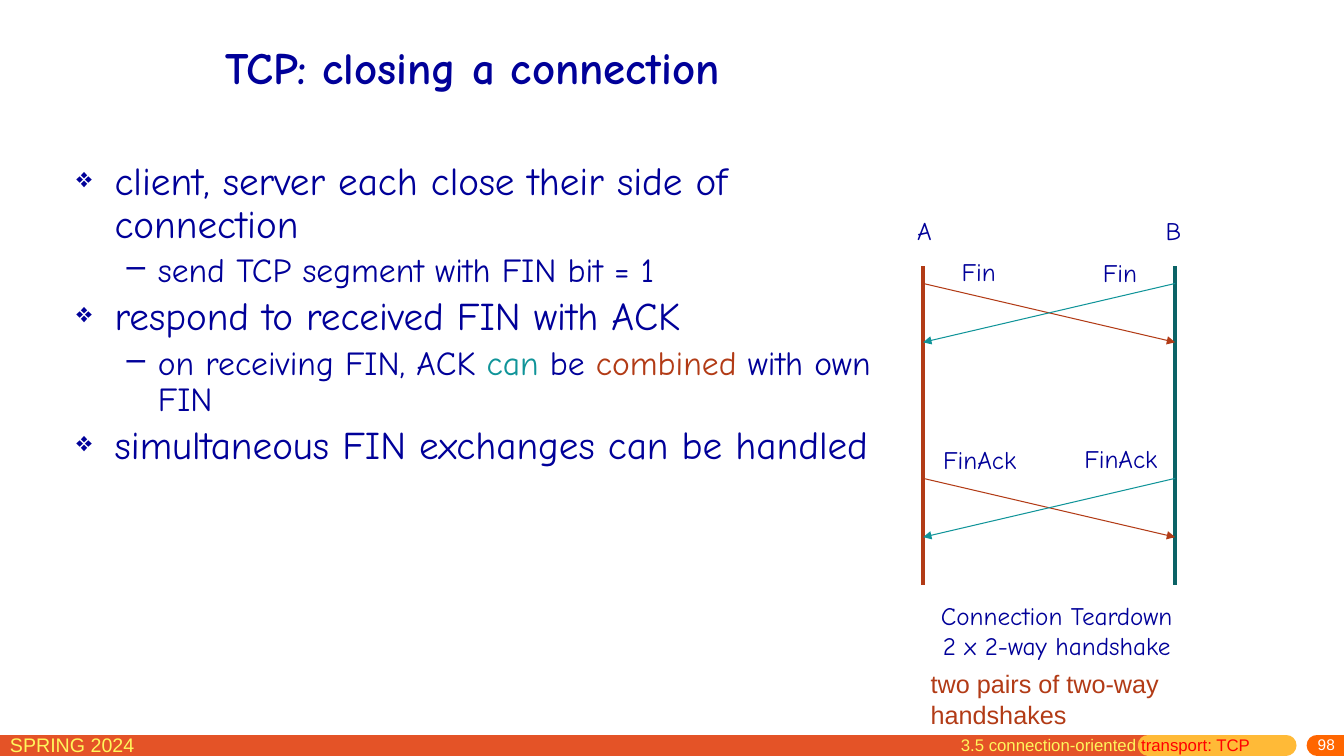
from lxml import etree
from pptx import Presentation
from pptx.dml.color import RGBColor
from pptx.enum.shapes import MSO_CONNECTOR
from pptx.enum.text import MSO_ANCHOR, MSO_AUTO_SIZE, PP_ALIGN
from pptx.oxml.ns import qn
from pptx.util import Inches, Pt

STRAIGHT = MSO_CONNECTOR.STRAIGHT
TOP, MIDDLE = MSO_ANCHOR.TOP, MSO_ANCHOR.MIDDLE
LEFT, CENTER, RIGHT = PP_ALIGN.LEFT, PP_ALIGN.CENTER, PP_ALIGN.RIGHT
FIT, FIXED = MSO_AUTO_SIZE.SHAPE_TO_FIT_TEXT, MSO_AUTO_SIZE.NONE

WIDTH, HEIGHT = 13.33, 7.5
COLUMNS, ROWS = 160, 90
HAND, SANS = "Comic Neue", "Arial"
NAVY, RUST, TEAL, DARK_TEAL = "000099", "B23B16", "109499", "0B6366"
YELLOW, RED, WHITE = "FFF65C", "FF0000", "FFFFFF"


def color(value):
    return RGBColor.from_string(value)


def add_child(parent, tag, **attributes):
    return etree.SubElement(parent, qn(tag), attributes)


class Canvas:
    """Draws on one slide; positions are columns and rows of a 160 x 90 grid."""

    def __init__(self, prs):
        self.slide = prs.slides.add_slide(prs.slide_layouts[6])
        self.column = prs.slide_width / COLUMNS
        self.row = prs.slide_height / ROWS

    def place(self, x, y):
        return round(x * self.column), round(y * self.row)

    def line(self, start, end, hue, width, arrow=False, rounded=False):
        s = self.slide.shapes.add_connector(STRAIGHT, *self.place(*start), *self.place(*end))
        s.line.color.rgb = color(hue)
        s.line.width = Pt(width)
        ln = s.line._ln
        if rounded:
            ln.set("cap", "rnd")
        if arrow:
            add_child(ln, "a:tailEnd", type="triangle")
        add_child(s._element.spPr, "a:effectLst")

    def box(self, x, y, width, height, wrap=True, fit=False, anchor=TOP):
        s = self.slide.shapes.add_textbox(*self.place(x, y), *self.place(width, height))
        tf = s.text_frame
        tf.word_wrap = wrap
        tf.auto_size = FIT if fit else FIXED
        tf.vertical_anchor = anchor
        return tf

    def runs(self, p, parts, size, font=HAND, bold=False):
        for text, hue in parts:
            r = p.add_run()
            r.text = text
            r.font.size = Pt(size)
            r.font.name = font
            r.font.bold = bold
            r.font.color.rgb = color(hue)

    def text(self, frame, lines, size, font=HAND, bold=False, align=LEFT, **layout):
        tf = self.box(*frame, **layout)
        for i, parts in enumerate(lines):
            p = tf.add_paragraph() if i else tf.paragraphs[0]
            p.alignment = align
            self.runs(p, parts, size, font, bold)
        return tf

    def label(self, frame, *lines, align=LEFT):
        self.text(frame, [[(line, NAVY)] for line in lines], 18,
                  align=align, wrap=False, fit=True)

    def bullets(self, frame, items):
        styles = [(28, 0.38, 0.38, "❖", "70000"), (24, 0.81, 0.31, "–", "100000")]
        tf = self.box(*frame)
        for i, (level, parts) in enumerate(items):
            size, margin, hang, mark, scale = styles[level]
            p = tf.add_paragraph() if i else tf.paragraphs[0]
            p.level = level
            p.line_spacing = 0.9
            p.space_before = Pt(5 if i else 0)
            pPr = p._p.get_or_add_pPr()
            pPr.set("marL", str(Inches(margin)))
            pPr.set("indent", str(-Inches(hang)))
            add_child(pPr, "a:buSzPct", val=scale)
            add_child(pPr, "a:buChar", char=mark)
            self.runs(p, parts, size)


def draw_footer(canvas):
    for start, end, hue in [(0, 136.7, "E45327"), (136.7, 153.1, "FFBA37"),
                            (156.8, 160, "FF6600")]:
        canvas.line((start, 88.7), (end, 88.7), hue, 15, rounded=True)
    canvas.text((0, 86.64, 27.5, 3.7), [[("SPRING 2024", YELLOW)]], 14, SANS)
    number = canvas.text((129, 87.84, 31.1, 2.16), [[("98", WHITE)]], 11, SANS,
                         align=RIGHT, anchor=MIDDLE)
    number.margin_top = 0
    canvas.text((113.2, 86.9, 37.3, 3.7),
                [[("3.5 connection-oriented ", YELLOW), ("transport: TCP", RED)]], 12, SANS)


def draw_teardown(canvas):
    a, b = 109.9, 139.9
    for x, hue in [(a, RUST), (b, DARK_TEAL)]:
        canvas.line((x, 31.7), (x, 69.7), hue, 3)
    for y in (33.75, 56.95):
        canvas.line((a, y), (b, y + 7), RUST, 0.75, arrow=True)
        canvas.line((b, y), (a, y + 7), TEAL, 0.75, arrow=True)
    for name, x, y, width in [("A", 108, 25.1, 4.6), ("B", 137.6, 25.1, 4.3),
                              ("Fin", 113.3, 29.9, 6.6), ("Fin", 130.1, 30, 6.6),
                              ("FinAck", 111.1, 52.3, 12.1),
                              ("FinAck", 127.9, 52.2, 12.1)]:
        canvas.label((x, y, width, 4.8), name)
    canvas.label((109.6, 70.9, 32.4, 8.5), "Connection Teardown", "2 x 2-way handshake",
                 align=CENTER)
    canvas.text((109.6, 79, 31.8, 8.5), [[("two pairs of two-way handshakes", RUST)]],
                18, SANS, fit=True)


def main():
    prs = Presentation()
    prs.slide_width, prs.slide_height = Inches(WIDTH), Inches(HEIGHT)
    canvas = Canvas(prs)
    draw_footer(canvas)
    canvas.text((25.7, 3.1, 102, 9.6), [[("TCP: closing a connection", NAVY)]], 32,
                bold=True, anchor=MIDDLE)
    canvas.bullets((7.9, 18.7, 100.8, 61), [
        (0, [("client, server each close their side of connection", NAVY)]),
        (1, [("send TCP segment with FIN bit = 1", NAVY)]),
        (0, [("respond to received FIN with ACK", NAVY)]),
        (1, [("on receiving FIN, ACK ", NAVY), ("can", TEAL), (" be ", NAVY),
             ("combined", RUST), (" with own FIN", NAVY)]),
        (0, [("simultaneous FIN exchanges can be handled", NAVY)]),
    ])
    draw_teardown(canvas)
    prs.save("out.pptx")


if __name__ == "__main__":
    main()
